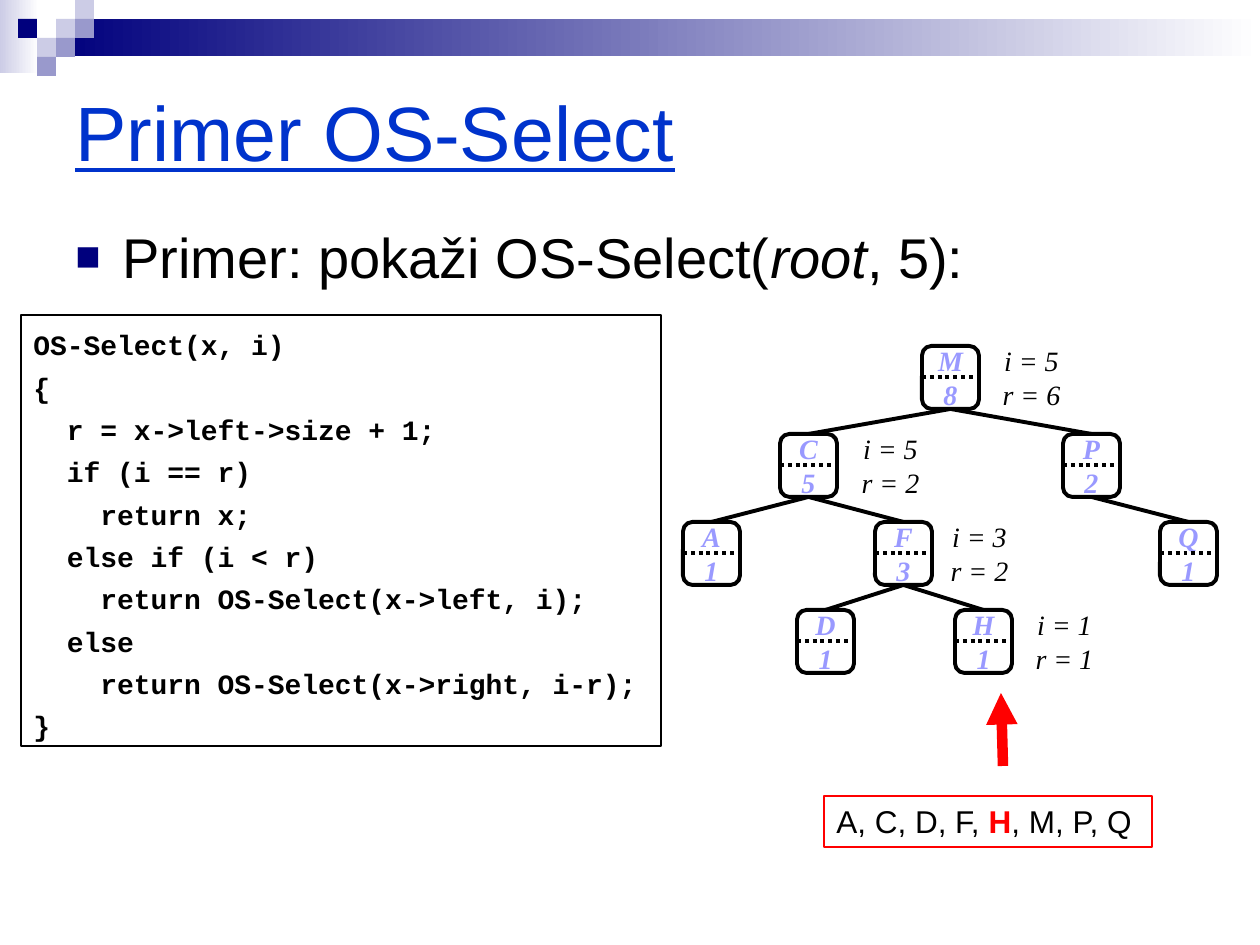
from copy import deepcopy

from lxml import etree
from pptx import Presentation
from pptx.dml.color import RGBColor
from pptx.enum.dml import MSO_LINE_DASH_STYLE as DASH
from pptx.enum.shapes import MSO_CONNECTOR, MSO_SHAPE as SHAPE
from pptx.enum.text import MSO_ANCHOR as ANCHOR, PP_ALIGN as ALIGN
from pptx.oxml.ns import qn
from pptx.util import Pt

PX = 914400 / 126
rgb = RGBColor.from_string

prs = Presentation()
prs.slide_width, prs.slide_height = int(1260 * PX), int(945 * PX)
s = prs.slides.add_slide(prs.slide_layouts[6])


def add_box(x, y, w, h, kind=SHAPE.RECTANGLE, fill=None, line=None, width=0.75,
            paras=(), align=ALIGN.LEFT, anchor=ANCHOR.TOP, wrap=True, **base):
    """Add a shape; paras holds lists of (text, format) runs laid over the base format."""
    sp = s.shapes.add_shape(kind, *(int(v * PX) for v in (x, y, w, h)))
    sp.shadow.inherit = False
    if fill:
        sp.fill.solid()
        sp.fill.fore_color.rgb = rgb(fill)
    else:
        sp.fill.background()
    if line:
        sp.line.color.rgb = rgb(line)
        sp.line.width = Pt(width)
    else:
        sp.line.fill.background()
    tf = sp.text_frame
    tf.word_wrap, tf.vertical_anchor = wrap, anchor
    for i, runs in enumerate(paras):
        p = tf.add_paragraph() if i else tf.paragraphs[0]
        p.alignment = align
        for text, extra in runs:
            for j, part in enumerate(text.split("\n")):
                if j:
                    p.add_line_break()
                    p._p.findall(qn("a:br"))[-1].append(deepcopy(r._r.rPr))
                r = p.add_run()
                r.text = part
                fmt = {**base, **extra}
                r.font.color.rgb = rgb(fmt.pop("color", "000000"))
                for name, value in fmt.items():
                    setattr(r.font, name, value)
    return sp


def add_line(x1, y1, x2, y2, color="000000", width=2.25):
    c = s.shapes.add_connector(MSO_CONNECTOR.STRAIGHT,
                               *(int(v * PX) for v in (x1, y1, x2, y2)))
    c.line.color.rgb = rgb(color)
    c.line.width = Pt(width)
    etree.SubElement(c._element.spPr, qn("a:effectLst"))
    return c


# Header band and squares
for x, y, w, h, start in [(0, 0, 39, 73, "CCCCE6"), (57, 19, 1203, 37, "00007D")]:
    band = add_box(x, y, w, h)
    band.fill.gradient()
    band.fill.gradient_angle = 0
    for stop, color in zip(band.fill.gradient_stops, (start, "FFFFFF")):
        stop.color.rgb = rgb(color)

for col, row, color in [(2, 1, "CCCCE6"), (3, 0, "CCCCE6"), (3, 1, "9999CC"),
                        (1, 2, "CCCCE6"), (0, 1, "00007D"), (2, 2, "9999CC"),
                        (1, 3, "9999CC")]:
    add_box(18 + 19 * col, 19 * row, 19, 19, fill=color)

# Order-statistic tree: key -> (size, left, level)
NODE_W, NODE_H, TOP, STEP = 57, 63, 346, 88
tree = {"M": (8, 922, 0), "C": (5, 780, 1), "P": (2, 1063, 1), "Q": (1, 1160, 2),
        "A": (1, 683, 2), "F": (3, 875, 2), "D": (1, 797, 3), "H": (1, 955, 3)}
label = dict(align=ALIGN.CENTER, anchor=ANCHOR.MIDDLE, wrap=False,
             size=Pt(16), name="Times New Roman", italic=True)
nodes = {}
for key, (size, x, level) in tree.items():
    y = TOP + STEP * level
    node = add_box(x, y, NODE_W, NODE_H, SHAPE.ROUNDED_RECTANGLE, line="000000",
                   width=2.25, paras=[[(f"{key}\n{size}", {})]],
                   color="9999FF", bold=True, **label)
    nodes[key] = node
    divider = add_line(x, y + NODE_H / 2, x + NODE_W, y + NODE_H / 2)
    divider.line.dash_style = DASH.ROUND_DOT
    divider.begin_connect(node, 1)
    divider.end_connect(node, 3)

for parent, child in ["MC", "MP", "CA", "CF", "FD", "FH", "PQ"]:
    edge = add_line(0, 0, 1, 1)
    edge.begin_connect(nodes[parent], 2)
    edge.end_connect(nodes[child], 0)

# Values of i and r at each visited node
for level, (x, i, rank) in enumerate([(1003, 5, 6), (862, 5, 2), (951, 3, 2), (1036, 1, 1)]):
    add_box(x, TOP + STEP * level, NODE_W, NODE_H,
            paras=[[(f"i = {i}\nr = {rank}", {})]], **label)

# Pseudocode
code = """OS-Select(x, i)
{
  r = x->left->size + 1;
  if (i == r)
    return x;
  else if (i < r)
    return OS-Select(x->left, i);
  else
    return OS-Select(x->right, i-r);
}"""
sp = add_box(21, 315, 640, 431, line="000000",
             paras=[[(row, {})] for row in code.split("\n")],
             size=Pt(16), name="Courier New", bold=True)
sp.text_frame.margin_top = int(13 * PX)
for p in sp.text_frame.paragraphs[1:]:
    p.space_before = Pt(5)

# Title and bullet
add_box(63, 63, 1134, 136, paras=[[("Primer OS-Select", {})]], anchor=ANCHOR.MIDDLE,
        size=Pt(44), name="Arial", color="0033CC", underline=True)
sp = add_box(63, 216, 1134, 530, size=Pt(32), name="Arial",
             paras=[[("Primer: pokaži OS-Select(", {}), ("root", {"italic": True}),
                     (", 5):", {})]])
pPr = sp.text_frame.paragraphs[0]._p.get_or_add_pPr()
pPr.set("marL", str(int(47 * PX)))
pPr.set("indent", str(-int(47 * PX)))
color = etree.SubElement(pPr, qn("a:buClr"))
etree.SubElement(color, qn("a:srgbClr"), val="00007D")
etree.SubElement(pPr, qn("a:buSzPct"), val="75000")
etree.SubElement(pPr, qn("a:buFont"), typeface="Arial")
etree.SubElement(pPr, qn("a:buChar"), char="■")

# Arrow and sorted keys
arrow = add_line(1003, 766, 1001, 693, "FF0000", 6)
etree.SubElement(arrow.line._get_or_add_ln(), qn("a:tailEnd"), type="triangle")
add_box(824, 796, 328, 51, line="FF0000", size=Pt(18), name="Arial",
        paras=[[("A, C, D, F, ", {}), ("H", {"color": "FF0000", "bold": True}),
                (", M, P, Q", {})]])

prs.save("out.pptx")
